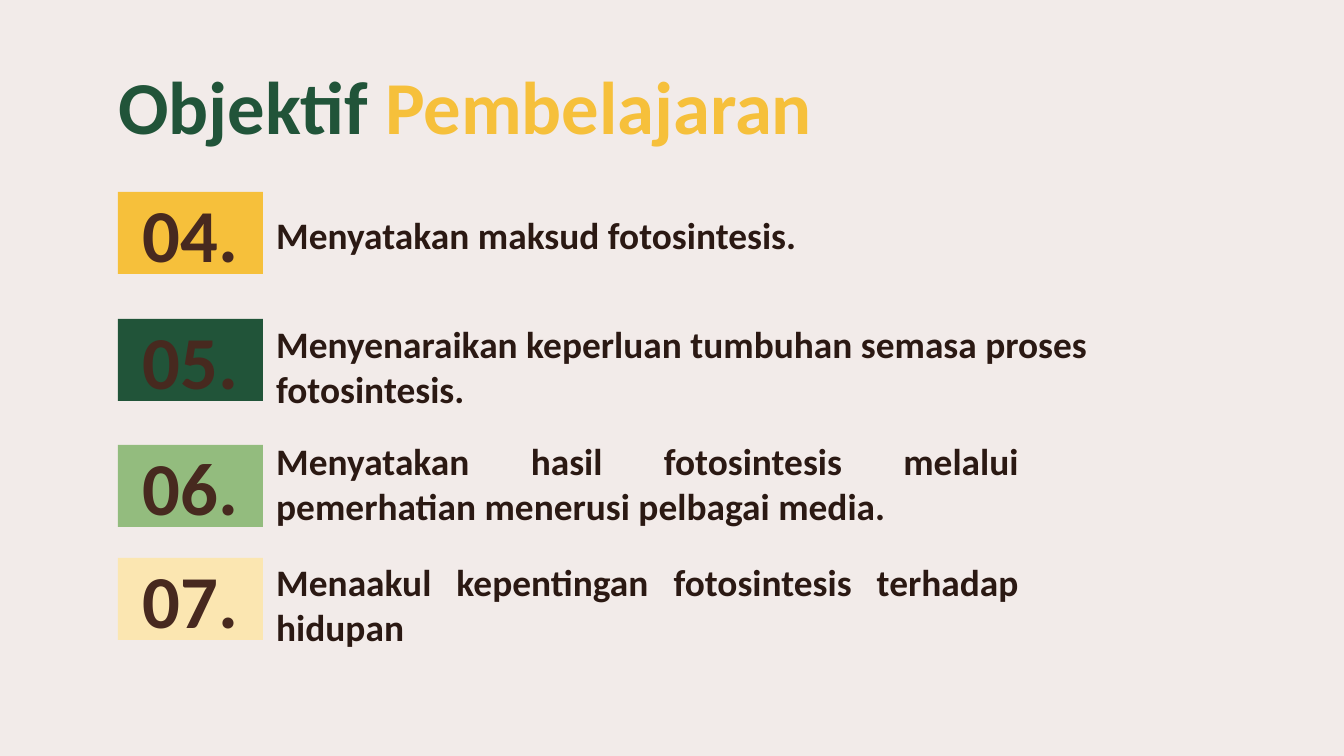
from pptx import Presentation
from pptx import util as u
from pptx.dml.color import RGBColor
from pptx.enum import shapes, text

PX = 914400 / 134.4
BACKGROUND = RGBColor(0xF2, 0xEB, 0xE9)
GREEN = RGBColor(0x21, 0x54, 0x39)
YELLOW = RGBColor(0xF6, 0xC0, 0x3B)
LIGHT_GREEN = RGBColor(0x93, 0xBC, 0x7E)
CREAM = RGBColor(0xFB, 0xE6, 0xB1)
BROWN = RGBColor(0x47, 0x29, 0x1F)
DARK_BROWN = RGBColor(0x2B, 0x19, 0x13)
LEFT = text.PP_ALIGN.LEFT
CENTER = text.PP_ALIGN.CENTER
JUSTIFY = text.PP_ALIGN.JUSTIFY
TOP = text.MSO_ANCHOR.TOP
MIDDLE = text.MSO_ANCHOR.MIDDLE


def px(*lengths):
    return [u.Emu(round(length * PX)) for length in lengths]


def write(box, spans, size, align, anchor):
    frame = box.text_frame
    frame.word_wrap = True
    frame.auto_size = text.MSO_AUTO_SIZE.NONE
    frame.vertical_anchor = anchor
    frame.margin_left = frame.margin_right = u.Inches(0.1)
    frame.margin_top = frame.margin_bottom = u.Inches(0.1)
    para = frame.paragraphs[0]
    para.alignment = align
    para.line_spacing = 1.0
    para.font.name = "Calibri"
    para.font.size = u.Pt(size)
    para.font.bold = True
    for words, color in spans:
        span = para.add_run()
        span.text = words
        span.font.color.rgb = color


deck = Presentation()
deck.slide_width, deck.slide_height = px(1344, 756)
page = deck.slides.add_slide(deck.slide_layouts[5])
page.background.fill.solid()
page.background.fill.fore_color.rgb = BACKGROUND

title = page.shapes.title
title.left, title.top, title.width, title.height = px(105, 46, 1134, 95)
write(title, [("Objektif ", GREEN), ("Pembelajaran", YELLOW)], 40, LEFT, TOP)

objectives = [
    ("04.", YELLOW, 192, 199, 797, LEFT, "Menyatakan maksud fotosintesis."),
    ("05.", GREEN, 319, 308, 919, LEFT,
     "Menyenaraikan keperluan tumbuhan semasa proses fotosintesis."),
    ("06.", LIGHT_GREEN, 445, 425, 769, JUSTIFY,
     "Menyatakan hasil fotosintesis melalui pemerhatian menerusi pelbagai media."),
    ("07.", CREAM, 558, 546, 769, JUSTIFY,
     "Menaakul kepentingan fotosintesis terhadap hidupan"),
]
for number, color, tile_top, words_top, words_width, align, words in objectives:
    tile = page.shapes.add_shape(shapes.MSO_SHAPE.RECTANGLE, *px(118, tile_top, 145, 82))
    tile.shadow.inherit = False
    tile.fill.solid()
    tile.fill.fore_color.rgb = color
    tile.line.fill.background()
    write(tile, [(number, BROWN)], 40, CENTER, MIDDLE)

    box = page.shapes.add_textbox(*px(263, words_top, words_width, 82))
    write(box, [(words, DARK_BROWN)], 20, align, TOP)

deck.save("out.pptx")
